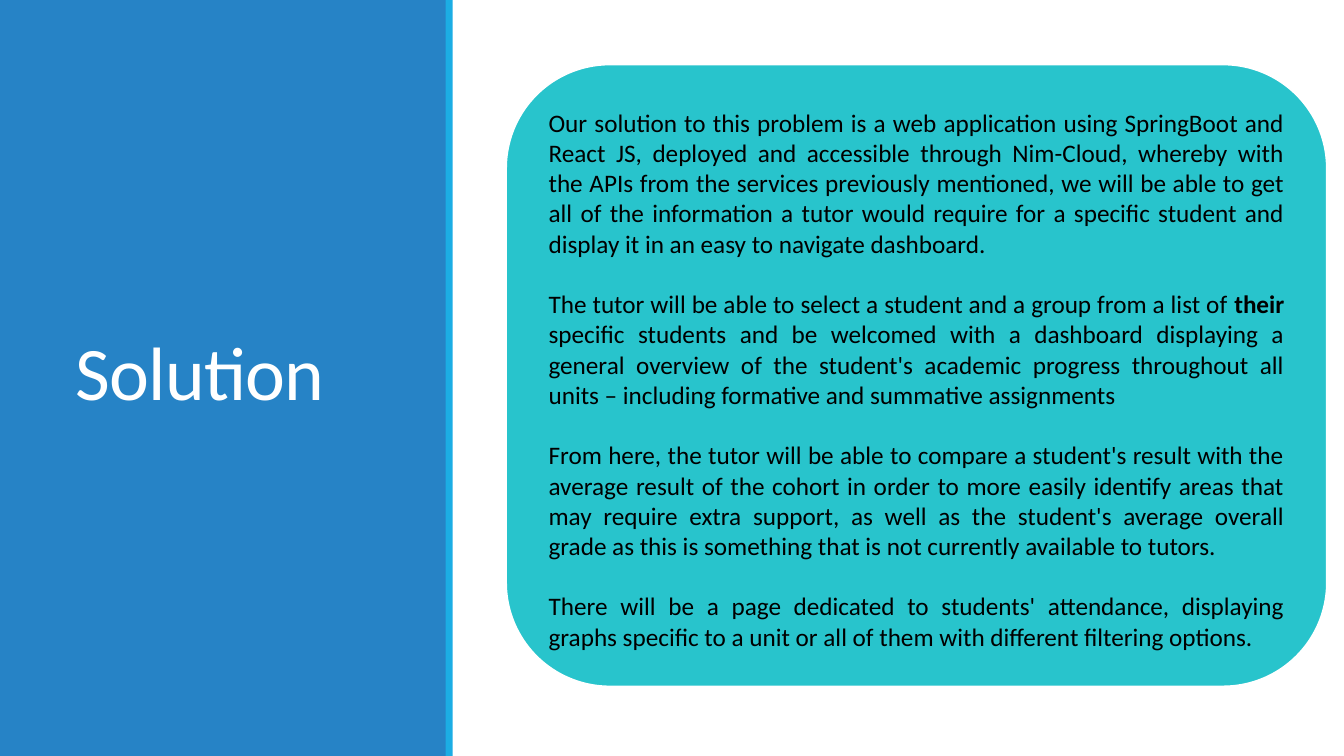
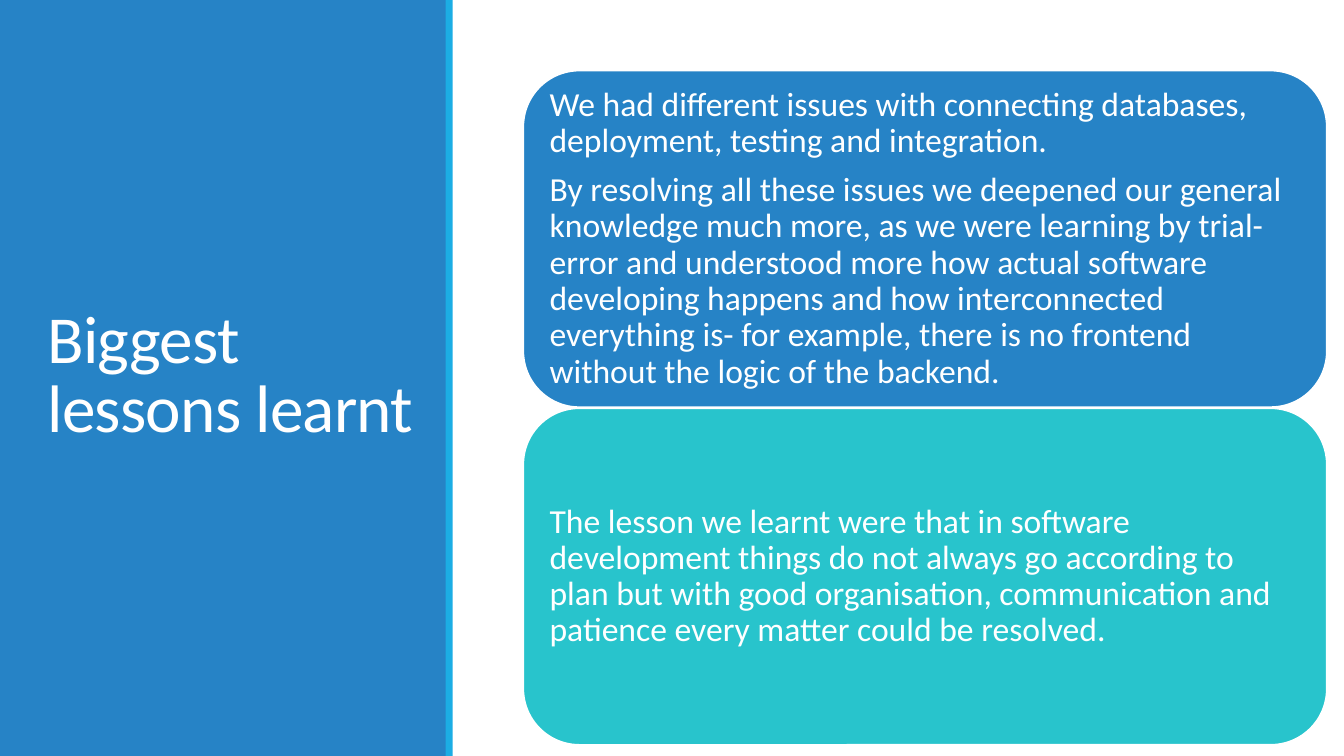
from dataclasses import dataclass

from pptx import Presentation
from pptx.dml.color import RGBColor
from pptx.enum.shapes import MSO_SHAPE
from pptx.enum.text import MSO_ANCHOR, MSO_AUTO_SIZE, PP_ALIGN
from pptx.util import Inches, Pt


@dataclass(frozen=True)
class Theme:
    font: str = "Calibri"
    blue: RGBColor = RGBColor(0x26, 0x83, 0xC6)
    sky: RGBColor = RGBColor(0x1C, 0xAD, 0xE4)
    teal: RGBColor = RGBColor(0x28, 0xC4, 0xCC)
    white: RGBColor = RGBColor(0xFF, 0xFF, 0xFF)
    black: RGBColor = RGBColor(0x00, 0x00, 0x00)
    title_size: int = 54
    long_title_size: int = 48
    lesson_size: int = 24
    solution_size: int = 18


@dataclass(frozen=True)
class Box:
    left: float
    top: float
    width: float
    height: float

    def lengths(self):
        return [Inches(n) for n in (self.left, self.top, self.width, self.height)]


@dataclass(frozen=True)
class CardStyle:
    size: int
    color: RGBColor
    align: PP_ALIGN
    anchor: MSO_ANCHOR
    inset: float
    line_spacing: float
    space_after: float


THEME = Theme()
PAGE = Box(0, 0, 13.33, 7.5)
PANEL = Box(0, 0, 4.43, PAGE.height)
STRIPE_WIDTH = 0.07

SOLUTION_STYLE = CardStyle(THEME.solution_size, THEME.black, PP_ALIGN.JUSTIFY,
                           MSO_ANCHOR.TOP, 0.12, 1.0, 21.6)
LESSON_STYLE = CardStyle(THEME.lesson_size, THEME.white, PP_ALIGN.LEFT,
                         MSO_ANCHOR.MIDDLE, 0.1, 0.9, 9)

# Each paragraph is a list of (text, bold) runs.
SOLUTION = [
    [("Our solution to this problem is a web application using SpringBoot and "
      "React JS, deployed and accessible through Nim-Cloud, whereby with the APIs "
      "from the services previously mentioned, we will be able to get all of the "
      "information a tutor would require for a specific student and display it in "
      "an easy to navigate dashboard.", False)],
    [("The tutor will be able to select a student and a group from a list of ", False),
     ("their ", True),
     ("specific students and be welcomed with a dashboard displaying a general "
      "overview of the student's academic progress throughout all units – "
      "including formative and summative assignments", False)],
    [("From here, the tutor will be able to compare a student's result with the "
      "average result of the cohort in order to more easily identify areas that may "
      "require extra support, as well as the student's average overall grade as "
      "this is something that is not currently available to tutors.", False)],
    [("There will be a page dedicated to students' attendance, displaying graphs "
      "specific to a unit or all of them with different filtering options.", False)],
]
ISSUES = [
    [("We had different issues with connecting databases, deployment, testing and "
      "integration.", False)],
    [("By resolving all these issues we deepened our general knowledge much more, "
      "as we were learning by trial-error and understood more how actual software "
      "developing happens and how interconnected everything is- for example, there "
      "is no frontend without the logic of the backend.", False)],
]
LESSON = [
    [("The lesson we learnt were that in software development things do not always "
      "go according to plan but with good organisation, communication and patience "
      "every matter could be resolved.", False)],
]


def add_filled_shape(slide, preset, box, color):
    shape = slide.shapes.add_shape(preset, *box.lengths())
    shape.shadow.inherit = False
    shape.fill.solid()
    shape.fill.fore_color.rgb = color
    shape.line.fill.background()
    return shape


def add_title_panel(slide, box, text, title_box, size):
    """Place the coloured side panel behind the title placeholder."""
    stripe = Box(box.left + box.width - 0.01, box.top, STRIPE_WIDTH, box.height)
    title = slide.shapes.title
    for part, color in ((box, THEME.blue), (stripe, THEME.sky)):
        band = add_filled_shape(slide, MSO_SHAPE.RECTANGLE, part, color)
        title.element.addprevious(band.element)

    title.left, title.top, title.width, title.height = title_box.lengths()
    frame = title.text_frame
    frame.text = text
    frame.word_wrap = True
    frame.auto_size = MSO_AUTO_SIZE.NONE
    frame.vertical_anchor = MSO_ANCHOR.MIDDLE
    paragraph = frame.paragraphs[0]
    paragraph.alignment = PP_ALIGN.LEFT
    paragraph.line_spacing = 0.85
    paragraph.font.name = THEME.font
    paragraph.font.size = Pt(size)
    paragraph.font.color.rgb = THEME.white
    paragraph.runs[0]._r.get_or_add_rPr().set("spc", "-50")


def add_card(slide, box, fill, paragraphs, style):
    """Add a rounded card that holds its own text."""
    card = add_filled_shape(slide, MSO_SHAPE.ROUNDED_RECTANGLE, box, fill)
    card.line.color.rgb = THEME.white
    card.line.width = Pt(1.25)
    frame = card.text_frame
    frame.word_wrap = True
    frame.vertical_anchor = style.anchor
    frame.margin_left = frame.margin_right = Inches(style.inset)
    frame.margin_top = frame.margin_bottom = Inches(style.inset)
    for index, runs in enumerate(paragraphs):
        paragraph = frame.add_paragraph() if index else frame.paragraphs[0]
        paragraph.alignment = style.align
        paragraph.line_spacing = style.line_spacing
        paragraph.space_after = Pt(style.space_after)
        paragraph.font.name = THEME.font
        paragraph.font.size = Pt(style.size)
        paragraph.font.color.rgb = style.color
        for text, bold in runs:
            run = paragraph.add_run()
            run.text = text
            if bold:
                run.font.bold = True


def add_card_stack(slide, box, cards, style, gap=0.01):
    """Share the height of the box equally between (fill, paragraphs) cards."""
    height = (box.height - gap * (len(cards) - 1)) / len(cards)
    for index, (fill, paragraphs) in enumerate(cards):
        top = box.top + index * (height + gap)
        add_card(slide, Box(box.left, top, box.width, height), fill, paragraphs, style)


def add_panel_slide(presentation, title, title_box, title_size, cards_box, cards, style):
    slide = presentation.slides.add_slide(presentation.slide_layouts.get_by_name("Title Only"))
    add_title_panel(slide, PANEL, title, title_box, title_size)
    add_card_stack(slide, cards_box, cards, style)


def main():
    presentation = Presentation()
    presentation.slide_width = Inches(PAGE.width)
    presentation.slide_height = Inches(PAGE.height)
    add_panel_slide(presentation, "Solution", Box(0.65, 0.66, 3.37, 6.17),
                    THEME.title_size, Box(5.02, 0.64, 8.14, 6.17),
                    [(THEME.teal, SOLUTION)], SOLUTION_STYLE)
    add_panel_slide(presentation, "Biggest lessons learnt", Box(0.37, 0.59, 4.06, 6.31),
                    THEME.long_title_size, Box(5.19, 0.7, 7.97, 6.69),
                    [(THEME.blue, ISSUES), (THEME.teal, LESSON)], LESSON_STYLE)
    presentation.save("out.pptx")


if __name__ == "__main__":
    main()
